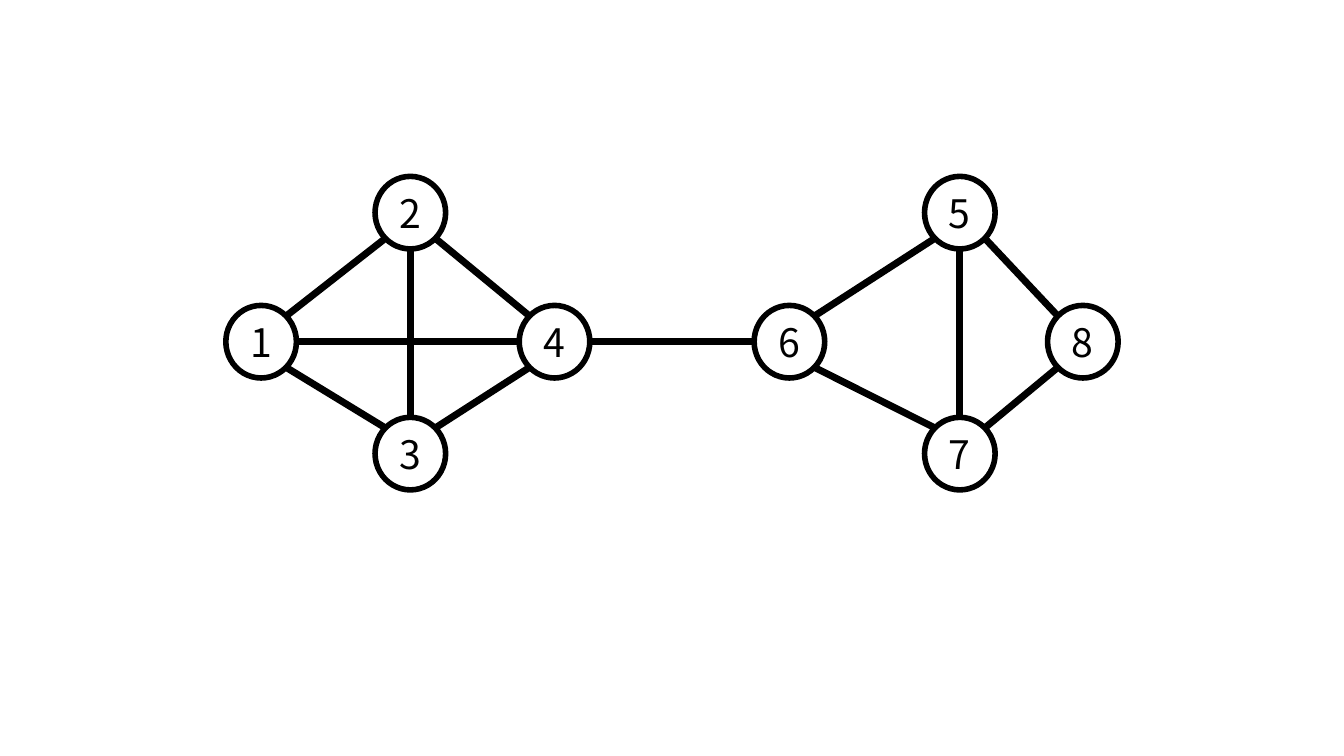
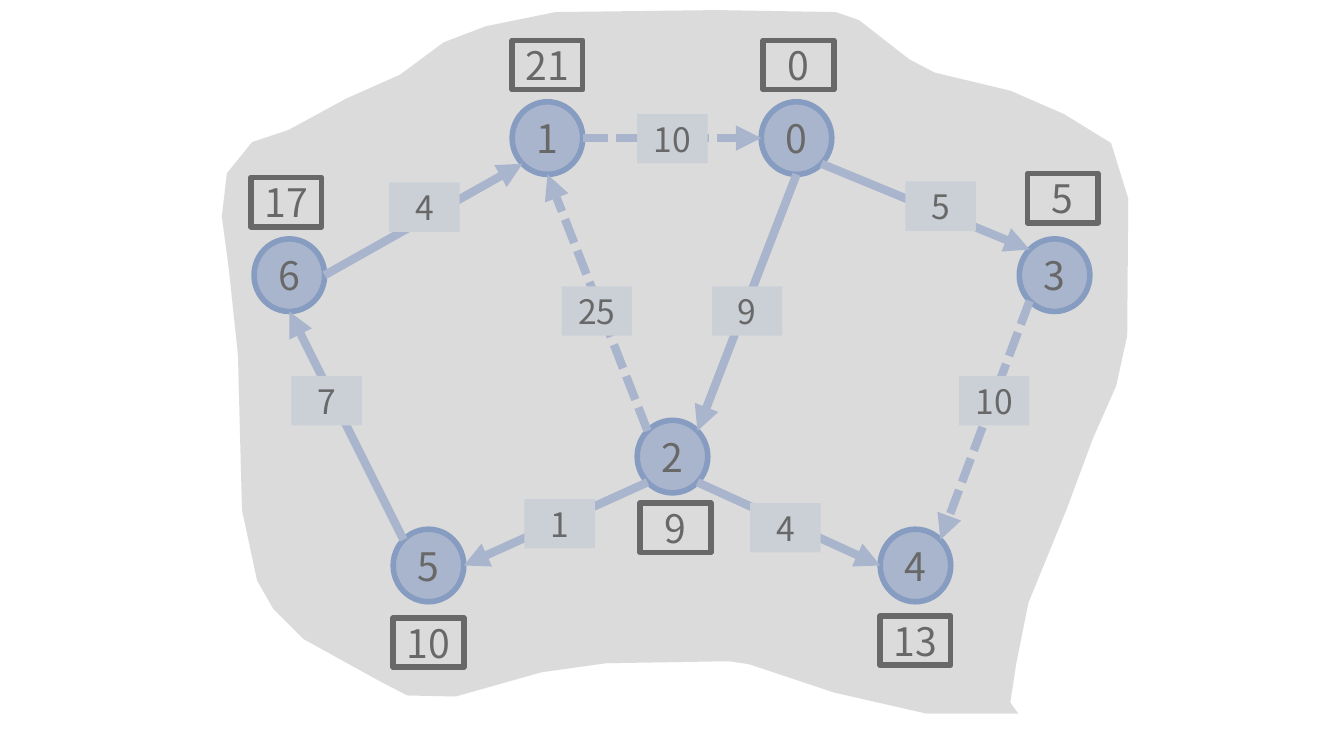
from dataclasses import dataclass
from math import sqrt
from typing import NamedTuple

from lxml.etree import SubElement
from pptx import Presentation
from pptx.dml.color import RGBColor
from pptx.enum.dml import MSO_LINE
from pptx.enum.shapes import MSO_CONNECTOR, MSO_SHAPE
from pptx.enum.text import MSO_ANCHOR, PP_ALIGN
from pptx.oxml.ns import qn
from pptx.util import Emu, Pt

EMU_PER_PX = 9144
SLIDE_WIDTH, SLIDE_HEIGHT = 1333, 750
FONT = "Noto Sans CJK KR"
NODE_WIDTH, NODE_HEIGHT = 70, 72
BOX_WIDTH, BOX_HEIGHT = 70, 49

COLORS = {
    "black": "000000",
    "white": "FFFFFF",
    "node": "8FAADC",
    "node_line": "4472C4",
    "weight": "DAE3F3",
    "region": "BFBFBF",
}

DIAGONAL = sqrt(0.5)
SITE_NAMES = ("T", "TL", "L", "BL", "B", "BR", "R", "TR")


class Label(NamedTuple):
    text: str
    left: int
    top: int


class Edge(NamedTuple):
    start: str
    start_site: str
    end: str
    end_site: str
    dashed: bool = False


@dataclass(frozen=True)
class LabelStyle:
    geometry: MSO_SHAPE
    width: int
    height: int
    fill: str
    line: str | None
    size: int = 28


@dataclass(frozen=True)
class EdgeStyle:
    color: str
    width: int
    arrow: bool


PLAIN_NODE = LabelStyle(MSO_SHAPE.OVAL, NODE_WIDTH, NODE_HEIGHT, "white", "black")
BLUE_NODE = LabelStyle(MSO_SHAPE.OVAL, NODE_WIDTH, NODE_HEIGHT, "node", "node_line")
WEIGHT = LabelStyle(MSO_SHAPE.RECTANGLE, BOX_WIDTH, BOX_HEIGHT, "weight", None, 24)
DISTANCE = LabelStyle(MSO_SHAPE.RECTANGLE, BOX_WIDTH, BOX_HEIGHT, "white", "black")
PLAIN_EDGE = EdgeStyle("black", 5, False)
ARROW_EDGE = EdgeStyle("node", 6, True)


def diamond(
    names: str, left: int, center: int, right: int
) -> list[Label]:
    top_row, middle_row, bottom_row = 175, 303, 414
    places = (
        (left, middle_row), (center, top_row), (center, bottom_row), (right, middle_row)
    )
    return [Label(name, *place) for name, place in zip(names, places)]


def mirrored_pair(left_name: str, right_name: str, left: int, top: int) -> list[Label]:
    return [
        Label(left_name, left, top),
        Label(right_name, SLIDE_WIDTH - NODE_WIDTH - left, top),
    ]


CLUSTER_NODES = diamond("1234", 224, 372, 515) + diamond("6578", 748, 917, 1039)
CLUSTER_EDGES = [
    Edge("2", "BR", "4", "TL"), Edge("3", "TR", "4", "BL"),
    Edge("1", "R", "4", "L"), Edge("2", "B", "3", "T"),
    Edge("2", "BL", "1", "TR"), Edge("1", "BR", "3", "TL"),
    Edge("6", "L", "4", "R"), Edge("5", "BL", "6", "TR"),
    Edge("8", "TL", "5", "BR"), Edge("6", "BR", "7", "TL"),
    Edge("7", "TR", "8", "BL"), Edge("5", "B", "7", "T"),
]

ROUTE_NODES = [
    *mirrored_pair("1", "0", 508, 101),
    *mirrored_pair("6", "3", 252, 237),
    *mirrored_pair("5", "4", 390, 525),
    Label("2", 632, 417),
]
ROUTE_EDGES = [
    Edge("1", "R", "0", "L", True), Edge("2", "TL", "1", "B", True),
    Edge("0", "B", "2", "TR"), Edge("0", "BR", "3", "TL"),
    Edge("2", "BR", "4", "L"), Edge("3", "BL", "4", "TR", True),
    Edge("6", "R", "1", "BL"), Edge("5", "TL", "6", "B"),
    Edge("2", "BL", "5", "R"),
]
WEIGHTS = [
    Label("10", 632, 113), Label("5", 898, 180),
    *mirrored_pair("25", "9", 557, 284),
    Label("4", 386, 181), Label("4", 744, 499),
    Label("10", 951, 373), Label("7", 289, 373), Label("1", 520, 495),
]
DISTANCES = [
    Label("21", 508, 40), Label("9", 635, 499), Label("0", 757, 40),
    Label("5", 1019, 172), Label("17", 249, 176), Label("10", 390, 613),
    Label("13", 873, 611),
]
REGION_OPACITY = 55
REGION_OUTLINE = [
    (1010, 708), (919, 708), (827, 687), (743, 659), (723, 656), (601, 658),
    (537, 667), (452, 691), (404, 690), (377, 676), (301, 634), (271, 604),
    (255, 576), (240, 506), (236, 352), (227, 267), (220, 215), (225, 172),
    (250, 141), (286, 129), (343, 98), (397, 74), (440, 42), (482, 26),
    (551, 12), (711, 10), (829, 12), (852, 20), (902, 59), (927, 72),
    (1002, 90), (1055, 113), (1102, 142), (1119, 197), (1118, 333),
    (1107, 383), (1084, 435), (1058, 505), (1020, 598), (1008, 658),
    (1002, 697),
]


def px(length: float) -> Emu:
    return Emu(round(length * EMU_PER_PX))


def color(name: str) -> RGBColor:
    return RGBColor.from_string(COLORS[name])


def add_label(slide, label: Label, style: LabelStyle):
    shape = slide.shapes.add_shape(
        style.geometry, px(label.left), px(label.top), px(style.width), px(style.height)
    )
    shape.shadow.inherit = False
    shape.fill.solid()
    shape.fill.fore_color.rgb = color(style.fill)
    if style.line:
        shape.line.color.rgb = color(style.line)
        shape.line.width = Pt(4)
    else:
        shape.line.fill.background()
    frame = shape.text_frame
    frame.margin_left = frame.margin_right = frame.margin_top = frame.margin_bottom = 0
    frame.vertical_anchor = MSO_ANCHOR.MIDDLE
    paragraph = frame.paragraphs[0]
    paragraph.text = label.text
    paragraph.alignment = PP_ALIGN.CENTER
    paragraph.font.name = FONT
    paragraph.font.size = Pt(style.size)
    paragraph.font.color.rgb = color("black")
    return shape


def site_position(shape, site: str) -> tuple[Emu, Emu]:
    reach = DIAGONAL if len(site) == 2 else 1
    across = reach * (("R" in site) - ("L" in site))
    down = reach * (("B" in site) - ("T" in site))
    return (
        Emu(round(shape.left + shape.width * (1 + across) / 2)),
        Emu(round(shape.top + shape.height * (1 + down) / 2)),
    )


def add_edge(slide, edge: Edge, nodes: dict, style: EdgeStyle) -> None:
    start, end = nodes[edge.start], nodes[edge.end]
    connector = slide.shapes.add_connector(
        MSO_CONNECTOR.STRAIGHT,
        *site_position(start, edge.start_site),
        *site_position(end, edge.end_site),
    )
    connector.line.color.rgb = color(style.color)
    connector.line.width = Pt(style.width)
    if edge.dashed:
        connector.line.dash_style = MSO_LINE.SQUARE_DOT
    properties = connector._element.spPr
    if style.arrow:
        SubElement(properties.find(qn("a:ln")), qn("a:tailEnd"), type="triangle")
    SubElement(properties, qn("a:effectLst"))
    joints = connector._element.find(".//" + qn("p:cNvCxnSpPr"))
    for tag, node, site in (
        ("a:stCxn", start, edge.start_site),
        ("a:endCxn", end, edge.end_site),
    ):
        index = SITE_NAMES.index(site)
        SubElement(joints, qn(tag), id=str(node.shape_id), idx=str(index))


def add_graph(
    slide,
    labels: list[Label],
    edges: list[Edge],
    node_style: LabelStyle,
    edge_style: EdgeStyle,
) -> None:
    nodes = {label.text: add_label(slide, label, node_style) for label in labels}
    for edge in edges:
        add_edge(slide, edge, nodes, edge_style)


def add_region(slide) -> None:
    builder = slide.shapes.build_freeform(*REGION_OUTLINE[0], scale=EMU_PER_PX)
    builder.add_line_segments(REGION_OUTLINE[1:], close=True)
    shape = builder.convert_to_shape()
    shape.shadow.inherit = False
    shape.fill.solid()
    shape.fill.fore_color.rgb = color("region")
    shape.line.fill.background()
    fill_color = shape._element.spPr.find(qn("a:solidFill")).find(qn("a:srgbClr"))
    SubElement(fill_color, qn("a:alpha"), val=str(REGION_OPACITY * 1000))


def main() -> None:
    presentation = Presentation()
    presentation.slide_width = px(SLIDE_WIDTH)
    presentation.slide_height = px(SLIDE_HEIGHT)
    blank = presentation.slide_layouts[6]

    cluster_slide = presentation.slides.add_slide(blank)
    add_graph(cluster_slide, CLUSTER_NODES, CLUSTER_EDGES, PLAIN_NODE, PLAIN_EDGE)

    route_slide = presentation.slides.add_slide(blank)
    add_graph(route_slide, ROUTE_NODES, ROUTE_EDGES, BLUE_NODE, ARROW_EDGE)
    for labels, style in ((WEIGHTS, WEIGHT), (DISTANCES, DISTANCE)):
        for label in labels:
            add_label(route_slide, label, style)
    add_region(route_slide)

    presentation.save("out.pptx")


if __name__ == "__main__":
    main()
